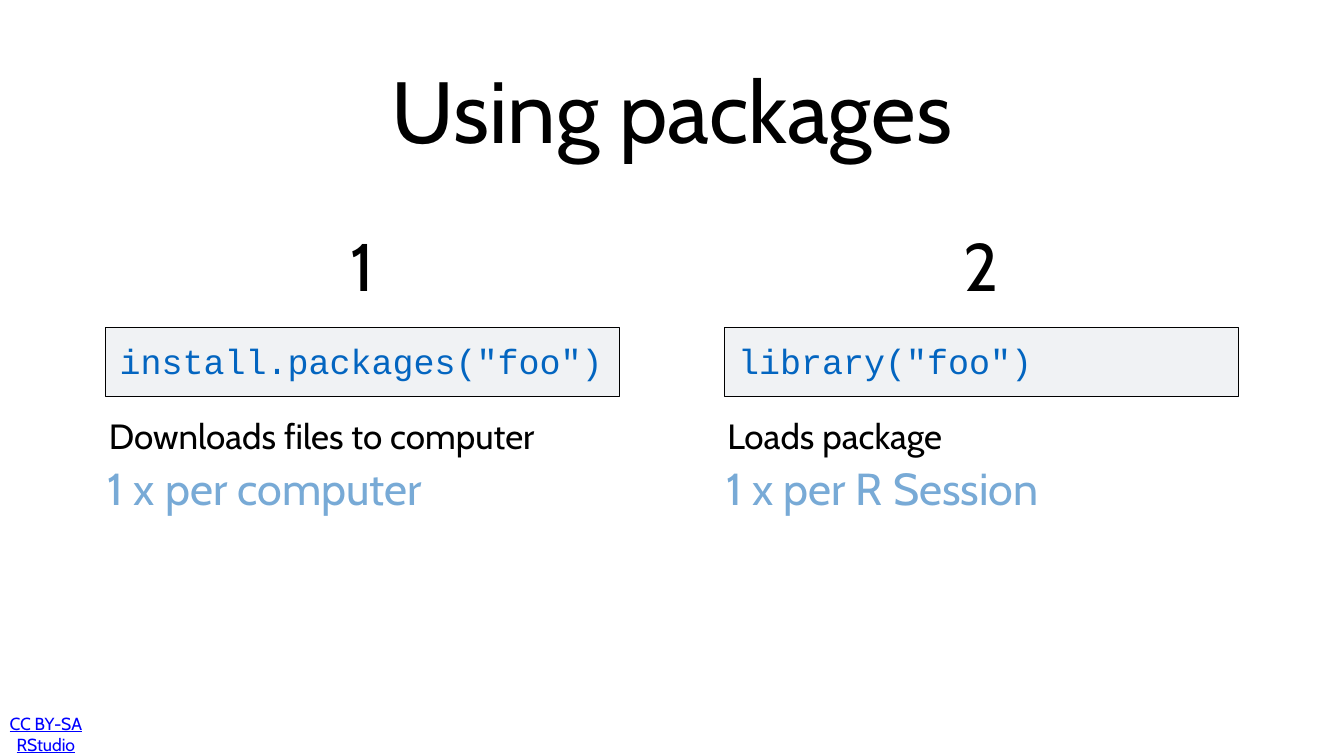
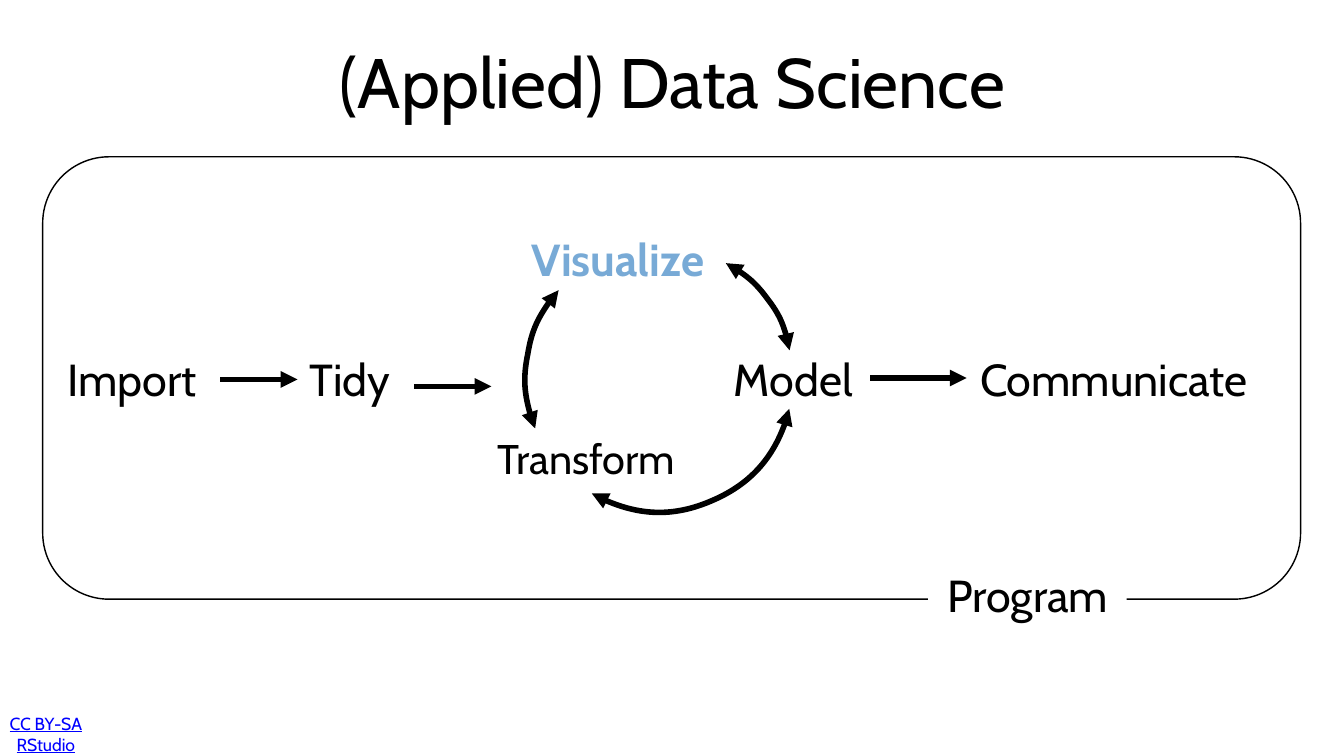
from dataclasses import dataclass

import pptx
import pptx.dml.color
import pptx.enum.shapes
import pptx.enum.text
import pptx.oxml.ns
import pptx.util
from lxml import etree

Pt = pptx.util.Pt
RGB = pptx.dml.color.RGBColor.from_string
qn = pptx.oxml.ns.qn
SHAPE = pptx.enum.shapes.MSO_SHAPE
ANCHOR = pptx.enum.text.MSO_ANCHOR
ALIGN = pptx.enum.text.PP_ALIGN


@dataclass(frozen=True)
class Theme:
    font: str = "Cabin"
    code_font: str = "Courier New"
    ink: str = "000000"
    accent: str = "78AAD6"
    code: str = "0365C0"
    panel: str = "F0F2F4"
    paper: str = "FFFFFF"
    link: str = "0000FF"
    title: float = 124
    title_small: float = 100
    number: float = 96
    label: float = 64
    label_small: float = 59.2
    body: float = 50
    footer: float = 25
    inset: float = 4.5
    arrow_width: float = 8


T = Theme()


def write(sp, text, size, color=T.ink, font=T.font, align=ALIGN.CENTER,
          anchor=ANCHOR.MIDDLE, bold=False, underline=False, inset=T.inset):
    tf = sp.text_frame
    tf.word_wrap = True
    tf.vertical_anchor = anchor
    tf.margin_left = tf.margin_right = tf.margin_top = tf.margin_bottom = Pt(inset)
    p = tf.paragraphs[0]
    p.alignment = align
    r = p.add_run()
    r.text = text
    r.font.name = font
    r.font.size = Pt(size)
    r.font.bold = bold
    r.font.underline = underline
    r.font.color.rgb = RGB(color)


def add_text(s, box, text, size, **style):
    write(s.shapes.add_textbox(*map(Pt, box)), text, size, **style)


def add_shape(s, kind, box, fill=None, line_width=None):
    sp = s.shapes.add_shape(kind, *map(Pt, box))
    sp.shadow.inherit = False
    if fill:
        sp.fill.solid()
        sp.fill.fore_color.rgb = RGB(fill)
    else:
        sp.fill.background()
    if line_width:
        sp.line.color.rgb = RGB(T.ink)
        sp.line.width = Pt(line_width)
    else:
        sp.line.fill.background()
    return sp


def style_arrow(sp, *ends):
    """Draw a heavy line with triangles at the given ends, headEnd before tailEnd."""
    sp.line.color.rgb = RGB(T.ink)
    sp.line.width = Pt(T.arrow_width)
    ln = sp.line._get_or_add_ln()
    for end in ends:
        etree.SubElement(ln, qn(f"a:{end}"), type="triangle")


def add_arrow(s, x1, x2, y):
    line = s.shapes.add_connector(
        pptx.enum.shapes.MSO_CONNECTOR.STRAIGHT, Pt(x1), Pt(y), Pt(x2), Pt(y))
    style_arrow(line, "tailEnd")
    etree.SubElement(line._element.spPr, qn("a:effectLst"))


def add_curved_arrow(s, start, *controls):
    """Draw cubic Bezier segments, each given by three points after the start."""
    points = [tuple(map(Pt, point)) for point in controls]
    builder = s.shapes.build_freeform(*map(Pt, start))
    builder.add_line_segments(points, close=False)
    sp = builder.convert_to_shape()
    sp.fill.background()
    style_arrow(sp, "headEnd", "tailEnd")
    sp.shadow.inherit = False
    segments = list(sp._element.iter(qn("a:lnTo")))
    for i in range(0, len(segments), 3):
        curve = etree.Element(qn("a:cubicBezTo"))
        segments[i].addprevious(curve)
        for segment in segments[i:i + 3]:
            curve.append(segment[0])
            segment.getparent().remove(segment)


def add_slide(prs, title, title_box, title_size):
    s = prs.slides.add_slide(prs.slide_layouts[6])
    add_text(s, (8.5, 1026.5, 114, 43), "CC BY-SA RStudio", T.footer,
             color=T.link, underline=True, inset=0)
    add_text(s, title_box, title, title_size)
    return s


def add_step(s, x, y, number, code, effect, frequency):
    width = 734.5
    add_text(s, (x + (width - 98) / 2, y, 98, 131), number, T.number)
    add_shape(s, SHAPE.RECTANGLE, (x, y + 155, width, 98.5), T.panel, 1)
    add_text(s, (x + 15.5, y + 167, 741, 78.5), code, T.body, color=T.code,
             font=T.code_font, align=ALIGN.LEFT, anchor=ANCHOR.TOP)
    add_text(s, (x, y + 251, width, 117.5), effect, T.body, align=ALIGN.LEFT)
    add_text(s, (x - 1.5, y + 338.5, 539, 91.5), frequency, T.label,
             color=T.accent, align=ALIGN.LEFT)


def packages_slide(prs):
    s = add_slide(prs, "Using packages", (481, 60.5, 958, 188.5), T.title)
    steps = [
        ("1", 'install.packages("foo")', "Downloads files to computer", "1 x per computer"),
        ("2", 'library("foo")', "Loads package", "1 x per R Session"),
    ]
    for i, step in enumerate(steps):
        add_step(s, 151 + i * 883.5, 313, *step)


def add_workflow(s, x, y, width, height):
    """Draw the data science cycle inside its "Program" frame."""
    label_w, label_h, row = 283.5, 98.5, 267
    stages = [
        ("Import", -14, row, label_w, {}),
        ("Tidy", 358, row, 162.5, {}),
        ("Visualize", 680, 95.5, label_w, {"color": T.accent, "bold": True}),
        ("Transform", 635, 381.5, label_w, {"size": T.label_small}),
        ("Model", 930.5, row, label_w, {}),
        ("Communicate", 1310, row, 440, {}),
    ]
    for text, dx, dy, w, style in stages:
        add_text(s, (x + dx, y + dy, w, label_h), text, **{"size": T.label, **style})

    for x1, x2, dy in [(253.5, 364, 318), (1182.5, 1320, 316), (531, 641, 328)]:
        add_arrow(s, x + x1, x + x2, y + dy)

    curves = [
        [(784.5, 481), (837, 511), (900, 515.5), (955.5, 491.5),
         (1011, 468), (1053, 419), (1066.5, 360)],
        [(976, 152), (999.5, 164), (1019.5, 181.5), (1035.5, 203),
         (1052, 224.5), (1063, 250), (1067, 276.5)],
        [(703.5, 388), (690, 355), (685.5, 317.5), (693, 281.5),
         (698.5, 247.5), (714.5, 216), (737, 190.5)],
    ]
    for curve in curves:
        add_curved_arrow(s, *((x + dx, y + dy) for dx, dy in curve))

    frame = add_shape(s, SHAPE.ROUNDED_RECTANGLE, (x, y, width, height), line_width=2)
    frame.adjustments[0] = 0.15
    program = add_shape(s, SHAPE.RECTANGLE,
                        (x + 1265, y + height - 55.5, label_w, label_h), T.paper)
    write(program, "Program", T.label)


def data_science_slide(prs):
    s = add_slide(prs, "(Applied) Data Science", (418.5, 21.5, 1083.5, 188.5),
                  T.title_small)
    add_workflow(s, 61, 224, 1797, 632)


def main():
    prs = pptx.Presentation()
    prs.slide_width, prs.slide_height = Pt(1920), Pt(1080)
    packages_slide(prs)
    data_science_slide(prs)
    prs.save("out.pptx")


if __name__ == "__main__":
    main()
